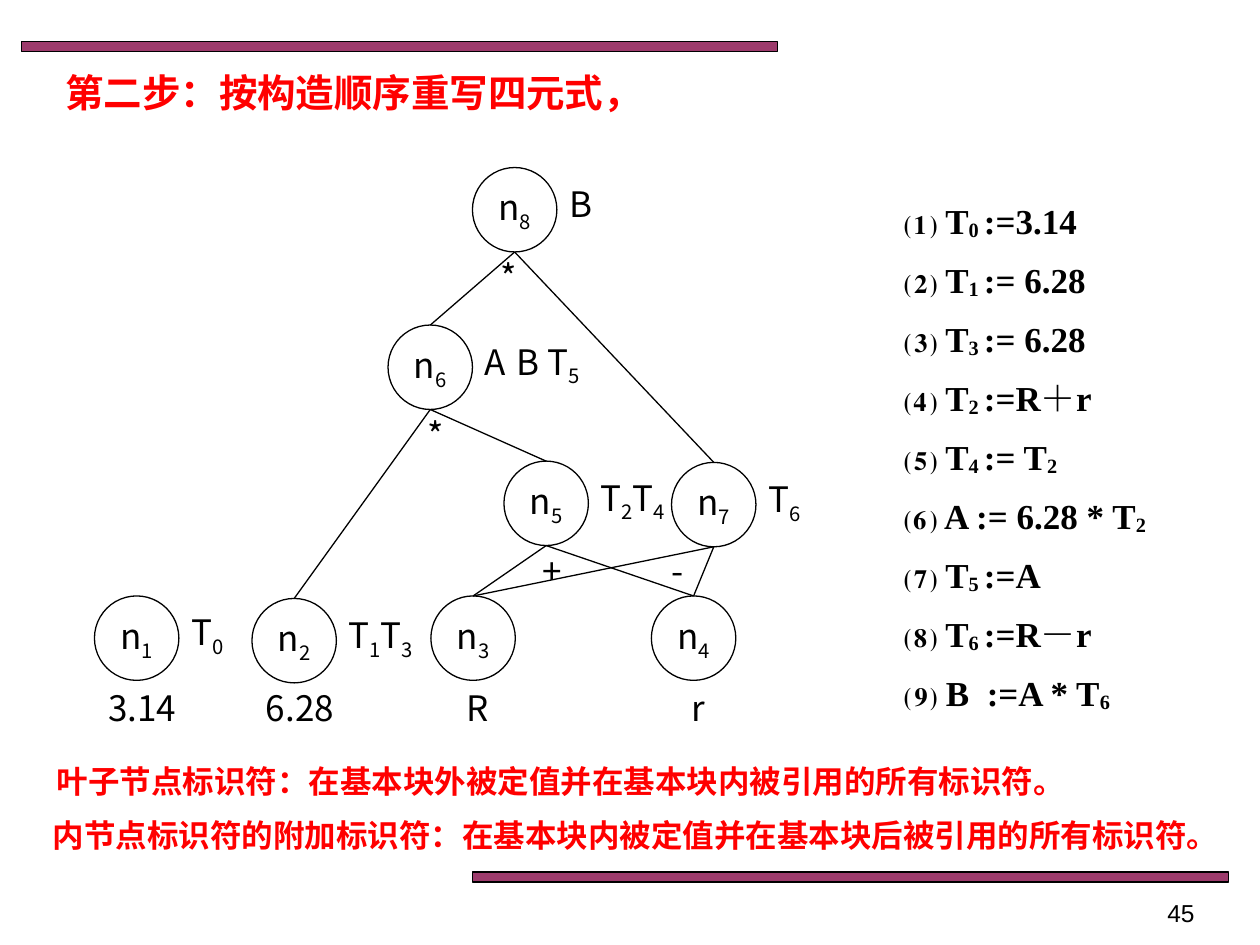
"""Build the slide on rewriting quadruples from a DAG in construction order."""
import pptx
import pptx.util
import pptx.dml.color
import pptx.enum.shapes
import pptx.enum.text
import pptx.oxml.ns
from lxml import etree

Inches, Pt = pptx.util.Inches, pptx.util.Pt
RGBColor = pptx.dml.color.RGBColor
Shape = pptx.enum.shapes.MSO_SHAPE
Align = pptx.enum.text.PP_ALIGN
Anchor = pptx.enum.text.MSO_ANCHOR
qn = pptx.oxml.ns.qn

BLACK = RGBColor(0, 0, 0)
RED = RGBColor(0xFF, 0, 0)
PLUM = RGBColor(0x99, 0x33, 0x66)
SANS, SERIF, ARIAL = "Noto Sans CJK SC", "Times New Roman", "Arial"
SIZE, STEP = 0.67, 0.25

BARS = [(0.17, 0.33), (3.75, 6.92)]
TITLE = "第二步：按构造顺序重写四元式，"
NOTES = [
    ("叶子节点标识符：在基本块外被定值并在基本块内被引用的所有标识符。", (0.24, 6, 8.42, 0.4)),
    ("内节点标识符的附加标识符：在基本块内被定值并在基本块后被引用的所有标识符。",
     (0.17, 6.43, 9.75, 0.4)),
]
CODE = [
    "⑴ T|0 |:=3.14",
    "⑵ T|1 |:= 6.28",
    "⑶ T|3 |:= 6.28",
    "⑷ T|2 |:=R＋r",
    "⑸ T|4 |:= T|2",
    "⑹ A := 6.28 * T|2",
    "⑺ T|5 |:=A",
    "⑻ T|6 |:=R－r",
    "⑼ B  :=A * T|6",
]
NODES = {
    1: (0.75, 4.73, ["T|0"]),
    2: (2, 4.75, ["T|1", "T|3"]),
    3: (3.42, 4.73, []),
    4: (5.17, 4.73, []),
    5: (4, 3.66, ["T|2", "T|4"]),
    6: (3.08, 2.58, ["A", "B", "T|5"]),
    7: (5.33, 3.67, ["T|6"]),
    8: (3.75, 1.33, ["B"]),
}
EDGES = [(5, 3), (5, 4), (6, 2), (6, 5), (7, 3), (7, 4), (8, 6), (8, 7)]
MARKS = [
    ("3.14", 0.67, 5.4), ("6.28", 1.92, 5.4), ("R", 3.33, 5.4), ("r", 5.08, 5.4),
    ("+", 3.92, 4.31), ("-", 4.92, 4.31), ("*", 3, 3.23), ("*", 3.58, 1.98),
]


def write(para, text, size=20, face=SANS, color=BLACK, bold=False, drop=-25000):
    """Write text whose odd parts between bars are subscripts."""
    for i, part in enumerate(text.split("|")):
        run = para.add_run()
        run.text = part
        font = run.font
        font.size, font.name, font.bold = Pt(size), face, bold
        font.color.rgb = color
        props = run._r.get_or_add_rPr()
        etree.SubElement(props, qn("a:ea")).set("typeface", face)
        if i % 2:
            props.set("baseline", str(drop))


def frame(slide, spot):
    """Add a wrapping text box and return its text frame."""
    body = slide.shapes.add_textbox(*map(Inches, spot)).text_frame
    body.word_wrap = True
    return body


def label(slide, text, spot, align=Align.LEFT, **style):
    """Add a text box of one paragraph."""
    para = frame(slide, spot).paragraphs[0]
    para.alignment = align
    write(para, text, **style)


def outline(slide, kind, spot):
    """Add a preset shape with a thin black line."""
    shape = slide.shapes.add_shape(kind, *map(Inches, spot))
    shape.shadow.inherit = False
    shape.line.color.rgb = BLACK
    shape.line.width = Pt(0.75)
    return shape


def bar(slide, left, top):
    """Add a decorative bar."""
    shape = outline(slide, Shape.RECTANGLE, (left, top, 6, 0.08))
    shape.fill.solid()
    shape.fill.fore_color.rgb = PLUM
    tint = shape._element.spPr.find(qn("a:solidFill"))[0]
    etree.SubElement(tint, qn("a:alpha")).set("val", "96000")


def node(slide, num, left, top, names):
    """Add a graph node with its identifiers on the right."""
    shape = outline(slide, Shape.OVAL, (left, top, SIZE, SIZE))
    shape.fill.background()
    body = shape.text_frame
    body.word_wrap = False
    body.vertical_anchor = Anchor.MIDDLE
    para = body.paragraphs[0]
    para.alignment = Align.CENTER
    write(para, f"n|{num}")
    for i, name in enumerate(names):
        label(slide, name, (left + SIZE + i * STEP, top + 0.07, 0.58, 0.44))


def edge(slide, head, child):
    """Draw a line from the bottom of one node to the top of another."""
    (x1, y1, _), (x2, y2, _) = NODES[head], NODES[child]
    ends = (x1 + SIZE / 2, y1 + SIZE, x2 + SIZE / 2, y2)
    line = slide.shapes.add_connector(
        pptx.enum.shapes.MSO_CONNECTOR.STRAIGHT, *map(Inches, ends))
    line.line.color.rgb = BLACK
    line.line.width = Pt(0.75)
    etree.SubElement(line._element.spPr, qn("a:effectLst"))


def code(slide):
    """Add the list of rewritten quadruples."""
    body = frame(slide, (7.08, 1.5, 2.5, 4.33))
    for i, text in enumerate(CODE):
        para = body.add_paragraph() if i else body.paragraphs[0]
        para.line_spacing = 1.1
        gap = etree.SubElement(para._p.get_or_add_pPr(), qn("a:spcBef"))
        etree.SubElement(gap, qn("a:spcPct")).set("val", "35000")
        write(para, text, face=SERIF, bold=True, drop=-10000)


def main():
    """Compose and save the slide."""
    deck = pptx.Presentation()
    deck.slide_width, deck.slide_height = Inches(10), Inches(7.5)
    slide = deck.slides.add_slide(deck.slide_layouts[6])
    for spot in BARS:
        bar(slide, *spot)
    label(slide, TITLE, (0.42, 0.5, 5.42, 0.47), size=22, color=RED, bold=True)
    code(slide)
    for text, spot in NOTES:
        label(slide, text, spot, Align.CENTER, size=18, color=RED, bold=True)
    for num, data in NODES.items():
        node(slide, num, *data)
    for pair in EDGES:
        edge(slide, *pair)
    for text, left, top in MARKS:
        label(slide, text, (left, top, 0.92, 0.44), Align.CENTER)
    label(slide, "45", (7.25, 7.08, 2.33, 0.27), Align.RIGHT, size=14, face=ARIAL)
    deck.save("out.pptx")


if __name__ == "__main__":
    main()
